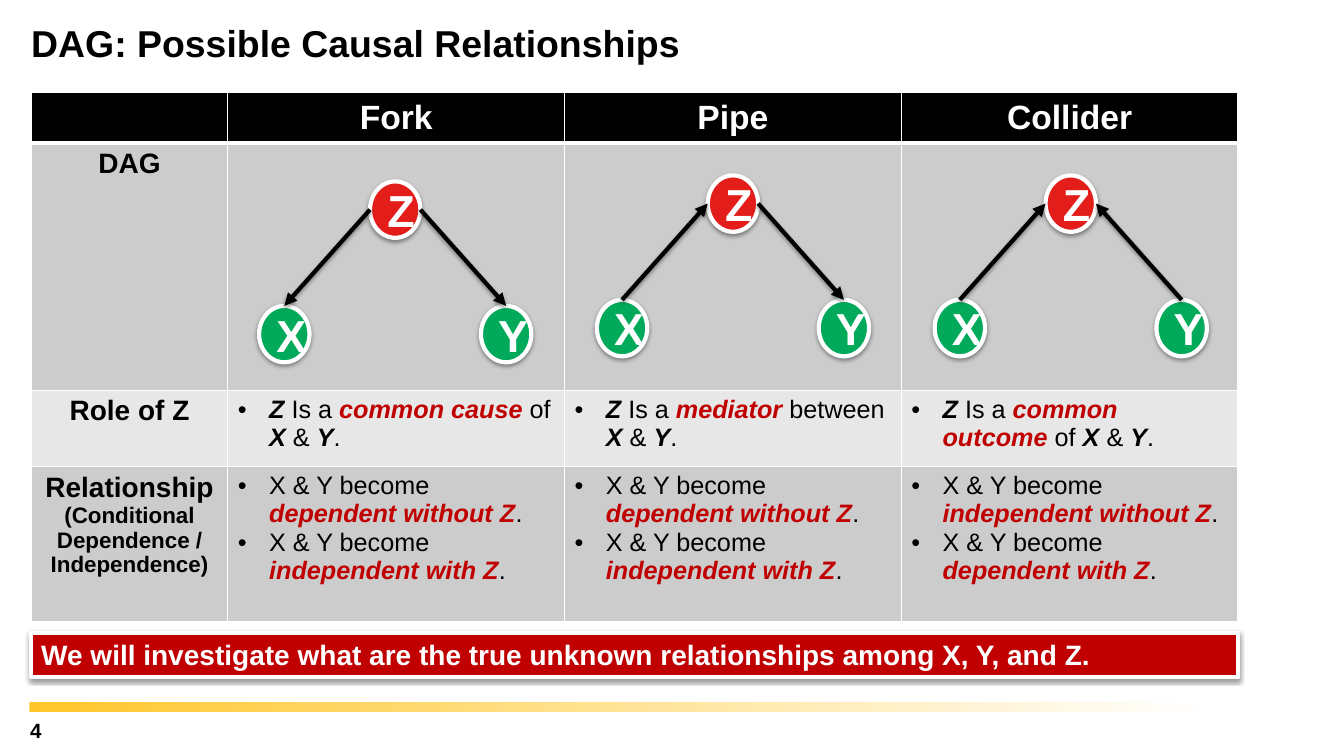
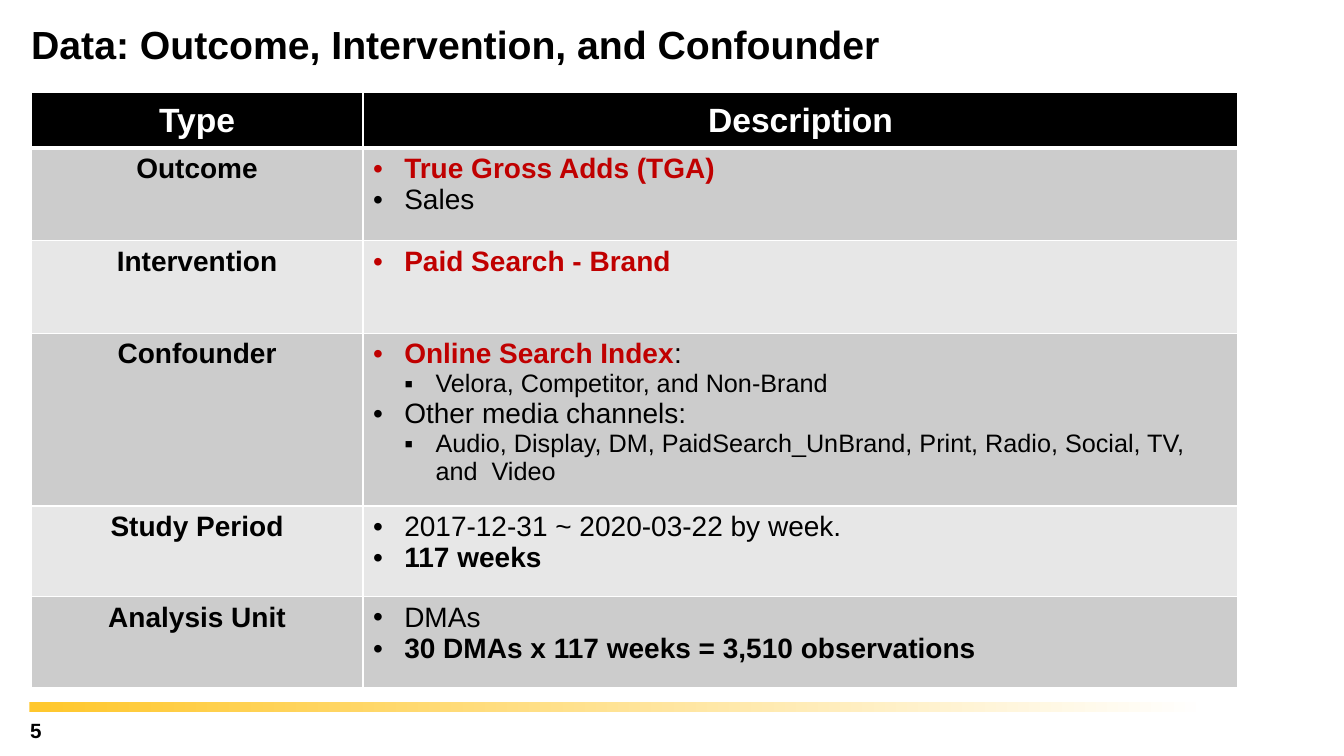
from lxml import etree
from pptx import Presentation
from pptx import util as u
from pptx.dml.color import RGBColor
from pptx.enum import shapes, text
from pptx.oxml.ns import qn

# Shared look
BLACK = RGBColor(0x00, 0x00, 0x00)
WHITE = RGBColor(0xFF, 0xFF, 0xFF)
RED = RGBColor(0xC0, 0x00, 0x00)
NODE_RED = RGBColor(0xE3, 0x1D, 0x1A)
GREEN = RGBColor(0x00, 0xAA, 0x5A)
GOLD = RGBColor(0xFF, 0xC7, 0x2C)
BAND_DARK = RGBColor(0xCC, 0xCC, 0xCC)
BAND_LIGHT = RGBColor(0xE7, 0xE7, 0xE7)
FONT = "Arial"
LEFT, WIDTH = 0.31, 11.97
INDENT = 0.31
CENTER = text.PP_ALIGN.CENTER
MIDDLE = text.MSO_ANCHOR.MIDDLE

# Run formats
BOLD = dict(bold=True)
NAME = dict(bold=True, italic=True)
KEY = dict(bold=True, italic=True, color=RED)
STRONG = dict(bold=True, color=RED)


def put(p, words, size=18, color=BLACK, bold=False, italic=False):
    """Add one formatted run to a paragraph."""
    r = p.add_run()
    r.text = words
    f = r.font
    f.name, f.size, f.bold, f.italic = FONT, u.Pt(size), bold, italic
    f.color.rgb = color
    return r


def sub(parent, tag, **attrs):
    return etree.SubElement(parent, qn(tag), attrs)


def paragraphs(tf, count):
    return [tf.paragraphs[0]] + [tf.add_paragraph() for _ in range(count - 1)]


class Deck:
    def __init__(self):
        self.prs = Presentation()
        self.prs.slide_width = u.Inches(13.33)
        self.prs.slide_height = u.Inches(7.5)
        self.s = None

    def slide(self, title, number, title_size):
        self.s = self.prs.slides.add_slide(self.prs.slide_layouts[6])
        bar = self.shape(shapes.MSO_SHAPE.RECTANGLE, 0.29, 6.96, 11.68, 0.1)
        bar.fill.gradient()
        bar.fill.gradient_angle = 0
        for stop, color in zip(bar.fill.gradient_stops, (GOLD, WHITE)):
            stop.color.rgb = color
        bar.line.fill.background()
        p = self.textbox(LEFT, 0.25, 12.76, 0.89)
        p.line_spacing = 0.9
        put(p, title, size=title_size, bold=True)
        p = self.textbox(0.3, 7, 0.63, 0.37, text.MSO_ANCHOR.BOTTOM)
        put(p, str(number), size=14.7, bold=True)

    def textbox(self, x, y, w, h, anchor=text.MSO_ANCHOR.TOP):
        tf = self.s.shapes.add_textbox(*map(u.Inches, (x, y, w, h))).text_frame
        tf.word_wrap = True
        tf.vertical_anchor = anchor
        tf.margin_left = tf.margin_right = tf.margin_top = tf.margin_bottom = 0
        return tf.paragraphs[0]

    def shape(self, kind, x, y, w, h, parent=None):
        sp = (parent or self.s).shapes.add_shape(kind, *map(u.Inches, (x, y, w, h)))
        sp.shadow.inherit = False
        return sp

    def shadow(self, sp):
        props = sp._element.spPr
        effects = props.find(qn("a:effectLst"))
        if effects is None:
            effects = sub(props, "a:effectLst")
        outer = sub(effects, "a:outerShdw", blurRad=str(u.Pt(3.1)),
                    dist=str(u.Pt(1.6)), dir="5400000", rotWithShape="0")
        sub(sub(outer, "a:srgbClr", val=str(BLACK)), "a:alpha", val="38000")

    def raised(self, kind, x, y, w, h, fill, words, size, align, parent=None):
        """Filled shape with a white outline, a soft shadow and bold text."""
        sp = self.shape(kind, x, y, w, h, parent)
        sp.fill.solid()
        sp.fill.fore_color.rgb = fill
        sp.line.color.rgb = WHITE
        sp.line.width = u.Pt(3)
        self.shadow(sp)
        p = sp.text_frame.paragraphs[0]
        p.alignment = align
        put(p, words, size=size, color=WHITE, bold=True)
        return sp

    def banner(self, words, y, h):
        sp = self.raised(shapes.MSO_SHAPE.RECTANGLE, LEFT, y, WIDTH, h, RED,
                         words, 20, text.PP_ALIGN.LEFT)
        sp.text_frame.vertical_anchor = text.MSO_ANCHOR.TOP

    def dag(self, center, top, edges):
        """Z above X and Y, with an arrow for each (cause, effect) edge."""
        w, h, reach, drop = 0.5, 0.56, 1.1, 1.235
        group = self.s.shapes.add_group_shape()
        places = {"Y": (center + reach, top + drop, GREEN),
                  "X": (center - reach, top + drop, GREEN),
                  "Z": (center, top, NODE_RED)}
        nodes = {name: self.raised(shapes.MSO_SHAPE.OVAL, x - w / 2, y, w, h,
                                   fill, name, 32, CENTER, group)
                 for name, (x, y, fill) in places.items()}
        for edge in edges:
            child = "X" if "X" in edge else "Y"
            side = -1 if child == "X" else 1
            # An oval has eight sites: 0 is its top, 2 its left, 6 its right
            ports = {"Z": (center + side * w / 2, top + h / 2, 4 + 2 * side),
                     child: (center + side * reach, top + drop, 0)}
            start, end = (ports[name] for name in edge)
            line = group.shapes.add_connector(
                shapes.MSO_CONNECTOR.STRAIGHT, *map(u.Inches, start[:2] + end[:2]))
            ends = line._element.nvCxnSpPr.cNvCxnSpPr
            for tag, name in zip(("a:stCxn", "a:endCxn"), edge):
                sub(ends, tag, id=str(nodes[name].shape_id), idx=str(ports[name][2]))
            line.line.color.rgb = BLACK
            line.line.width = u.Pt(3)
            sub(line._element.spPr.find(qn("a:ln")), "a:tailEnd", type="triangle")
            self.shadow(line)

    def table(self, cols, heights, header, rows, size):
        """rows hold a label and then one list of bullets per column."""
        frame = self.s.shapes.add_table(
            len(heights), len(cols),
            *map(u.Inches, (LEFT, 0.92, sum(cols), sum(heights))))
        t = frame.table
        for col, w in zip(t.columns, cols):
            col.width = u.Inches(w)
        for row, h in zip(t.rows, heights):
            row.height = u.Inches(h)
        for i in range(len(heights)):
            fill = BLACK if i == 0 else (BAND_LIGHT, BAND_DARK)[i % 2]
            for cell in t.rows[i].cells:
                self.borders(cell, top=3 if i == 1 else 1, bottom=3 if i == 0 else 1)
                cell.fill.solid()
                cell.fill.fore_color.rgb = fill
        for cell, words in zip(t.rows[0].cells, header):
            cell.vertical_anchor = MIDDLE
            self.label(cell, words, (24,), WHITE)
        for i, (name, *contents) in enumerate(rows, 1):
            self.label(t.cell(i, 0), name, (20, 16))
            for j, items in enumerate(contents, 1):
                self.bullets(t.cell(i, j), items, size)

    def borders(self, cell, top, bottom):
        props = cell._tc.get_or_add_tcPr()
        for side, width in zip("LRTB", (1, 1, top, bottom)):
            ln = sub(props, "a:ln" + side, w=str(u.Pt(width)))
            sub(sub(ln, "a:solidFill"), "a:srgbClr", val=str(WHITE))

    def label(self, cell, words, sizes, color=BLACK):
        lines = words.split("\n") if words else []
        for p, line, size in zip(paragraphs(cell.text_frame, len(lines)), lines, sizes):
            p.alignment = CENTER
            put(p, line, size=size, color=color, bold=True)

    def bullets(self, cell, items, size):
        for p, (level, *runs) in zip(paragraphs(cell.text_frame, len(items)), items):
            props = p._p.get_or_add_pPr()
            props.set("marL", str(u.Inches(INDENT * (level + 1))))
            props.set("indent", str(u.Inches(-INDENT)))
            sub(props, "a:buFont", typeface=FONT)
            sub(props, "a:buChar", char="•▪"[level])
            for words, fmt in runs:
                put(p, words, size=size - 2 * level, **fmt)


def role(what, link):
    return [(0, ("Z", NAME), (" Is a ", {}), (what, KEY), (f" {link} ", {}),
             ("X", NAME), (" & ", {}), ("Y", NAME), (".", {}))]


def relation(without_z, with_z):
    return [(0, ("X & Y become ", {}), (words, KEY), (".", {}))
            for words in (f"{without_z} without Z", f"{with_z} with Z")]


def item(words, level=0, **fmt):
    return (level, (words, fmt))


deck = Deck()

# Slide 4: causal relationships
deck.slide("DAG: Possible Causal Relationships", 4, 26.7)
deck.table(
    [1.95, 3.34, 3.34, 3.34], [0.48, 2.45, 0.76, 1.54],
    ["", "Fork", "Pipe", "Collider"],
    [["DAG"],
     ["Role of Z", role("common cause", "of"), role("mediator", "between"),
      role("common outcome", "of")],
     ["Relationship\n(Conditional Dependence / Independence)",
      relation("dependent", "independent"),
      relation("dependent", "independent"),
      relation("independent", "dependent")]],
    size=18)
dags = [(1.8, ["ZY", "ZX"]), (1.74, ["ZY", "XZ"]), (1.74, ["YZ", "XZ"])]
for n, (top, edges) in enumerate(dags):
    deck.dag(3.92 + 3.35 * n, top, edges)
deck.banner("We will investigate what are the true unknown relationships "
            "among X, Y, and Z.", 6.28, 0.44)

# Slide 5: data
deck.slide("Data: Outcome, Intervention, and Confounder", 5, 28)
deck.table(
    [3.29, 8.68], [0.55, 0.92, 0.92, 1.71, 0.9, 0.9],
    ["Type", "Description"],
    [["Outcome", [item("True Gross Adds (TGA)", **STRONG), item("Sales")]],
     ["Intervention", [item("Paid Search - Brand", **STRONG)]],
     ["Confounder",
      [(0, ("Online Search Index", STRONG), (":", {})),
       item("Velora, Competitor, and Non-Brand", 1),
       item("Other media channels:"),
       item("Audio, Display, DM, PaidSearch_UnBrand, Print, Radio, Social, "
            "TV, and  Video", 1)]],
     ["Study Period",
      [item("2017-12-31 ~ 2020-03-22 by week."), item("117 weeks", **BOLD)]],
     ["Analysis Unit",
      [item("DMAs"),
       item("30 DMAs x 117 weeks = 3,510 observations", **BOLD)]]],
    size=20)

deck.prs.save("out.pptx")
